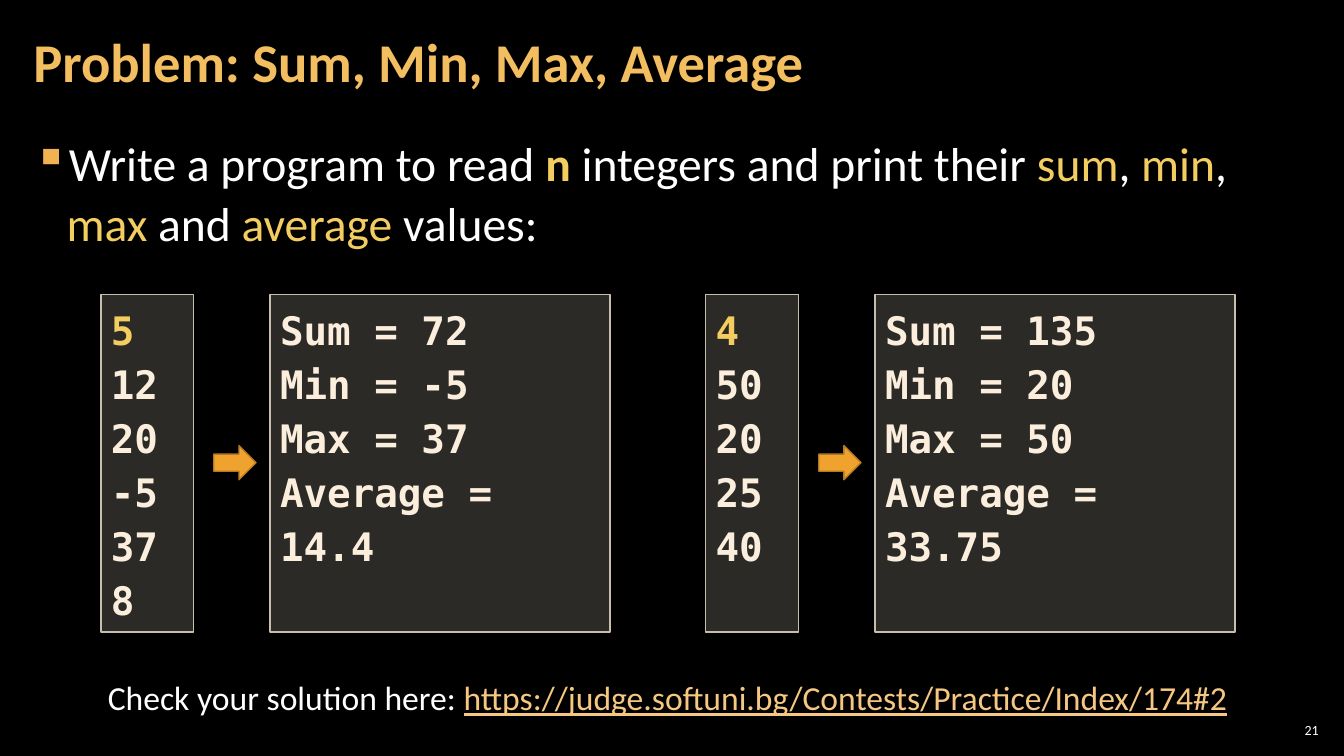
from dataclasses import dataclass

import lxml.etree
import pptx
import pptx.dml.color
import pptx.enum.shapes
import pptx.enum.text
import pptx.oxml.ns
import pptx.util

Inches = pptx.util.Inches
Pt = pptx.util.Pt
qn = pptx.oxml.ns.qn
Shape = pptx.enum.shapes.MSO_SHAPE
Align = pptx.enum.text.PP_ALIGN
Anchor = pptx.enum.text.MSO_ANCHOR

COLORS = {
    "back": "000000", "white": "FFFFFF", "title": "F3BE60", "key": "F3CD60",
    "code": "FBEEDC", "link": "F6C781", "bullet": "F2B254", "panel": "D9D5C7",
    "edge": "C7BFAC", "arrow": "F0A22E", "rim": "B27822",
}
SANS = "Calibri"
MONO = "DejaVu Sans Mono"
TOP, HEIGHT = 2.92, 3.35


@dataclass
class Sample:
    left: float
    wide: float
    nums: list[str]
    lines: list[str]


SAMPLES = [
    Sample(1, 3.37, ["5", "12", "20", "-5", "37", "8"],
           ["Sum = 72", "Min = -5", "Max = 37", "Average = 14.4"]),
    Sample(7, 3.57, ["4", "50", "20", "25", "40"],
           ["Sum = 135", "Min = 20", "Max = 50", "Average = 33.75"]),
]
TASK = [
    ("Write a program to read ", "white"), ("n", "key"),
    (" integers and print their ", "white"), ("sum", "key"), (", ", "white"),
    ("min", "key"), (", ", "white"), ("max", "key"), (" and ", "white"),
    ("average", "key"), (" values:", "white"),
]


def tone(name: str) -> pptx.dml.color.RGBColor:
    return pptx.dml.color.RGBColor.from_string(COLORS[name])


def style(para, size: float, color: str, face: str = SANS, bold: bool = False) -> None:
    font = para.font
    font.name, font.size, font.bold = face, Pt(size), bold
    font.color.rgb = tone(color)


def inset(frame, side: float) -> None:
    frame.margin_left = frame.margin_right = Inches(side)
    frame.margin_top = frame.margin_bottom = Inches(0.04)


def text_box(slide, left: float, top: float, wide: float, high: float):
    box = slide.shapes.add_textbox(*map(Inches, (left, top, wide, high)))
    box.text_frame.word_wrap = True
    return box.text_frame


def add_runs(para, parts: list[tuple[str, str]]) -> list:
    runs = []
    for text, color in parts:
        run = para.add_run()
        run.text = text
        run.font.color.rgb = tone(color)
        runs.append(run)
    return runs


def solid(slide, kind, left: float, top: float, wide: float, high: float,
          fill: str, line: str):
    shape = slide.shapes.add_shape(kind, *map(Inches, (left, top, wide, high)))
    shape.shadow.inherit = False
    shape.fill.solid()
    shape.fill.fore_color.rgb = tone(fill)
    shape.line.color.rgb = tone(line)
    shape.line.width = Pt(1)
    return shape


def panel(slide, left: float, wide: float, lines: list[str], first: str = "code") -> None:
    shape = solid(slide, Shape.RECTANGLE, left, TOP, wide, HEIGHT, "panel", "edge")
    # Panel fill is 20% opaque
    color = shape.fill._xPr.find(qn("a:solidFill"))[0]
    lxml.etree.SubElement(color, qn("a:alpha"), val="20000")
    frame = shape.text_frame
    frame.word_wrap = True
    frame.vertical_anchor = Anchor.TOP
    for row, text in enumerate(lines):
        para = frame.add_paragraph() if row else frame.paragraphs[0]
        para.alignment = Align.LEFT
        para.line_spacing = 1.15
        style(para, 28, "code", MONO, True)
        add_runs(para, [(text, "code" if row else first)])


def sample(slide, item: Sample) -> None:
    panel(slide, item.left, 0.92, item.nums, "key")
    solid(slide, Shape.RIGHT_ARROW, item.left + 1.12, 4.42, 0.42, 0.34, "arrow", "rim")
    panel(slide, item.left + 1.68, item.wide, item.lines)


def main() -> None:
    deck = pptx.Presentation()
    deck.slide_width, deck.slide_height = Inches(13.33), Inches(7.5)
    slide = deck.slides.add_slide(deck.slide_layouts[5])
    slide.background.fill.solid()
    slide.background.fill.fore_color.rgb = tone("back")

    # Title
    title = slide.shapes.title
    title.left, title.top = Inches(0.21), Inches(0.04)
    title.width, title.height = Inches(10.47), Inches(1.21)
    frame = title.text_frame
    frame.text = "Problem: Sum, Min, Max, Average"
    frame.vertical_anchor = Anchor.MIDDLE
    inset(frame, 0.12)
    para = frame.paragraphs[0]
    para.alignment = Align.LEFT
    para.line_spacing = 0.9
    style(para, 39, "title", bold=True)

    # Task with a square bullet
    frame = text_box(slide, 0.21, 1.26, 12.91, 1.4)
    inset(frame, 0.12)
    para = frame.paragraphs[0]
    para.line_spacing = 1.05
    props = para._p.get_or_add_pPr()
    props.set("marL", str(Inches(0.33)))
    props.set("indent", str(-Inches(0.33)))
    paint = lxml.etree.SubElement(props, qn("a:buClr"))
    lxml.etree.SubElement(paint, qn("a:srgbClr"), val=COLORS["bullet"])
    lxml.etree.SubElement(props, qn("a:buChar"), char="▪")
    style(para, 34, "white")
    add_runs(para, TASK)[1].font.bold = True

    # Sample inputs and outputs
    for item in SAMPLES:
        sample(slide, item)

    # Link line
    para = text_box(slide, 0.83, 6.67, 11.58, 0.5).paragraphs[0]
    para.alignment = Align.CENTER
    style(para, 24, "white")
    runs = add_runs(para, [
        ("Check your solution here: ", "white"),
        ("https://judge.softuni.bg/Contests/Practice/Index/174#2", "link"),
    ])
    runs[1].font.underline = True

    # Slide number
    frame = text_box(slide, 12.65, 7.14, 0.47, 0.21)
    inset(frame, 0.04)
    frame.vertical_anchor = Anchor.MIDDLE
    para = frame.paragraphs[0]
    para.alignment = Align.RIGHT
    style(para, 10, "white")
    add_runs(para, [("21", "white")])

    deck.save("out.pptx")


if __name__ == "__main__":
    main()
